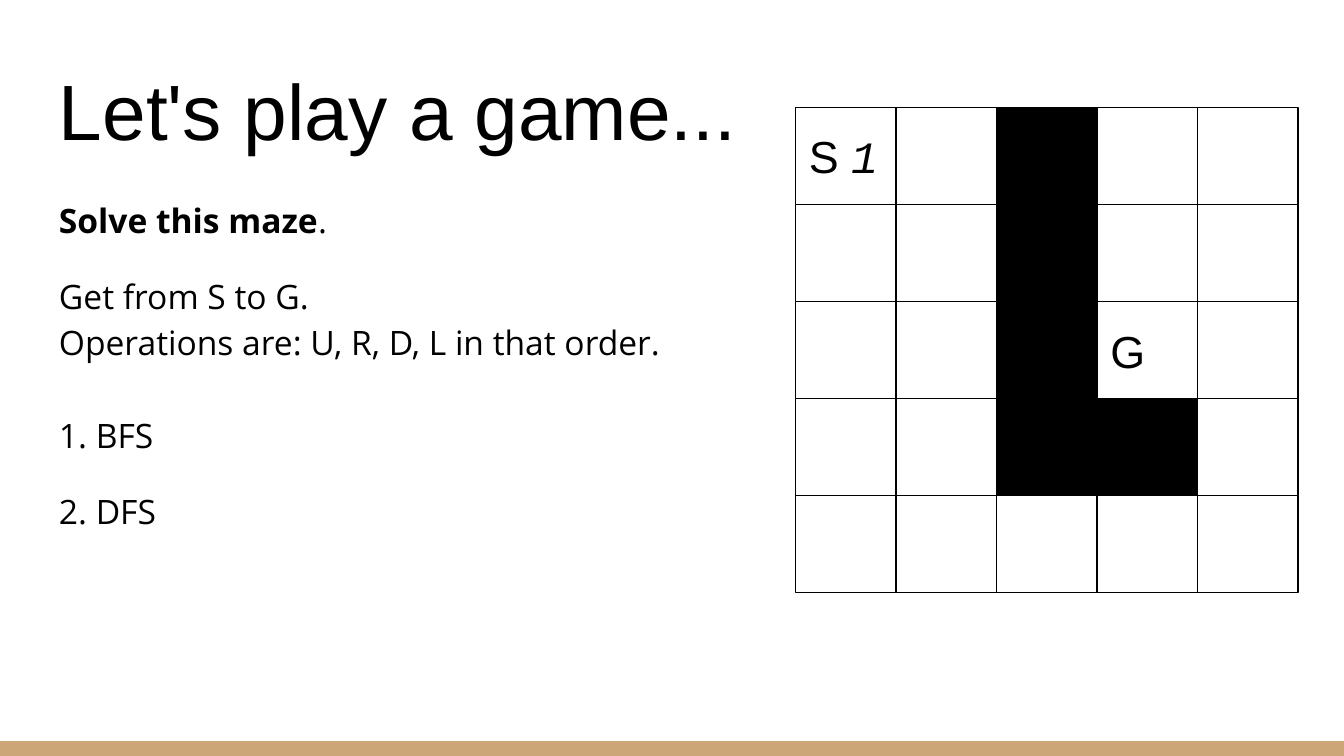
from collections import namedtuple
from dataclasses import dataclass

from pptx import Presentation
from pptx.dml.color import RGBColor
from pptx.enum.shapes import MSO_SHAPE
from pptx.enum.text import MSO_ANCHOR, PP_ALIGN
from pptx.util import Inches, Pt

Box = namedtuple("Box", "left top width height")


@dataclass(frozen=True)
class Theme:
    """Colours, fonts and type sizes of the deck."""
    ink: RGBColor = RGBColor(0, 0, 0)
    band: RGBColor = RGBColor(0xCC, 0xA6, 0x77)
    sans: str = "Arial"
    body: str = "Open Sans"
    mono: str = "Courier New"
    title_size: float = 42
    mark_size: float = 24
    body_size: float = 18
    line_width: float = 0.75


THEME = Theme()
PAGE = Box(0, 0, 10, 10 * 9 / 16)
TITLE = "Let's play a game..."
BREAK = "\n"
BODY = [
    (0, [("Solve this maze", True), (".", False)]),
    (16, [("Get from S to G.", False), (BREAK, False),
          ("Operations are: U, R, D, L in that order.", False)]),
    (24.8, [("1. BFS", False)]),
    (16, [("2. DFS", False)]),
]
MAZE = ["S.#..", "..#..", "..#G.", "..##.", "....."]
MARKS = {
    "S": [("S ", THEME.sans, False), ("1", THEME.mono, True)],
    "G": [("G", THEME.sans, False)],
}


def inches(box):
    """Turn a box into slide lengths."""
    return [Inches(value) for value in box]


def apply(target, values):
    """Set each attribute named in a dict."""
    for name, value in values.items():
        setattr(target, name, value)


def set_frame(frame, anchor):
    """Give a text frame its wrapping, anchor and margins."""
    margins = {f"margin_{side}": Inches(0.1) for side in ("left", "top", "right", "bottom")}
    apply(frame, {"word_wrap": True, "vertical_anchor": anchor, **margins})


def add_span(para, text, name, size, **style):
    """Add one run of styled text."""
    span = para.add_run()
    span.text = text
    apply(span.font, {"name": name, "size": Pt(size), **style})
    span.font.color.rgb = THEME.ink


def add_rectangle(page, box, fill=None, line=None):
    """Add a flat rectangle with an optional fill and outline."""
    shape = page.shapes.add_shape(MSO_SHAPE.RECTANGLE, *inches(box))
    shape.shadow.inherit = False
    for part, colour in ((shape.fill, fill), (shape.line.fill, line)):
        if colour is None:
            part.background()
        else:
            part.solid()
            part.fore_color.rgb = colour
    if line is not None:
        shape.line.width = Pt(THEME.line_width)
    return shape


def add_title(page, box):
    """Place the heading at the bottom of its box."""
    frame = page.shapes.add_textbox(*inches(box)).text_frame
    set_frame(frame, MSO_ANCHOR.BOTTOM)
    add_span(frame.paragraphs[0], TITLE, THEME.sans, THEME.title_size)


def add_body(page, box):
    """Place the task text and its numbered methods."""
    frame = page.shapes.add_textbox(*inches(box)).text_frame
    set_frame(frame, MSO_ANCHOR.TOP)
    for index, (gap, spans) in enumerate(BODY):
        para = frame.add_paragraph() if index else frame.paragraphs[0]
        apply(para, {"line_spacing": 1.15, "space_before": Pt(gap)})
        for text, bold in spans:
            if text == BREAK:
                para.add_line_break()
            else:
                add_span(para, text, THEME.body, THEME.body_size, bold=bold)


def add_maze(page, box):
    """Divide the box into the cells of the maze."""
    width, height = box.width / len(MAZE[0]), box.height / len(MAZE)
    for row, symbols in enumerate(MAZE):
        for column, symbol in enumerate(symbols):
            place = Box(box.left + column * width, box.top + row * height, width, height)
            fill = THEME.ink if symbol == "#" else None
            cell = add_rectangle(page, place, fill, THEME.ink)
            if symbol in MARKS:
                set_frame(cell.text_frame, MSO_ANCHOR.MIDDLE)
                para = cell.text_frame.paragraphs[0]
                para.alignment = PP_ALIGN.LEFT
                for text, name, italic in MARKS[symbol]:
                    add_span(para, text, name, THEME.mark_size, italic=italic)


def main():
    """Build the slide and save the deck."""
    deck = Presentation()
    apply(deck, {"slide_width": Inches(PAGE.width), "slide_height": Inches(PAGE.height)})
    page = deck.slides.add_slide(deck.slide_layouts[6])
    margin, band, maze_width = 0.34, 0.11, 3.74
    inner = PAGE.width - 2 * margin
    add_rectangle(page, Box(0, PAGE.height - band, PAGE.width, band), THEME.band)
    add_title(page, Box(margin, 0.35, inner, 0.91))
    add_body(page, Box(margin, 1.34, 5.32, 3.67))
    add_maze(page, Box(PAGE.width - margin - maze_width, 0.8, maze_width, 3.61))
    deck.save("out.pptx")


if __name__ == "__main__":
    main()
